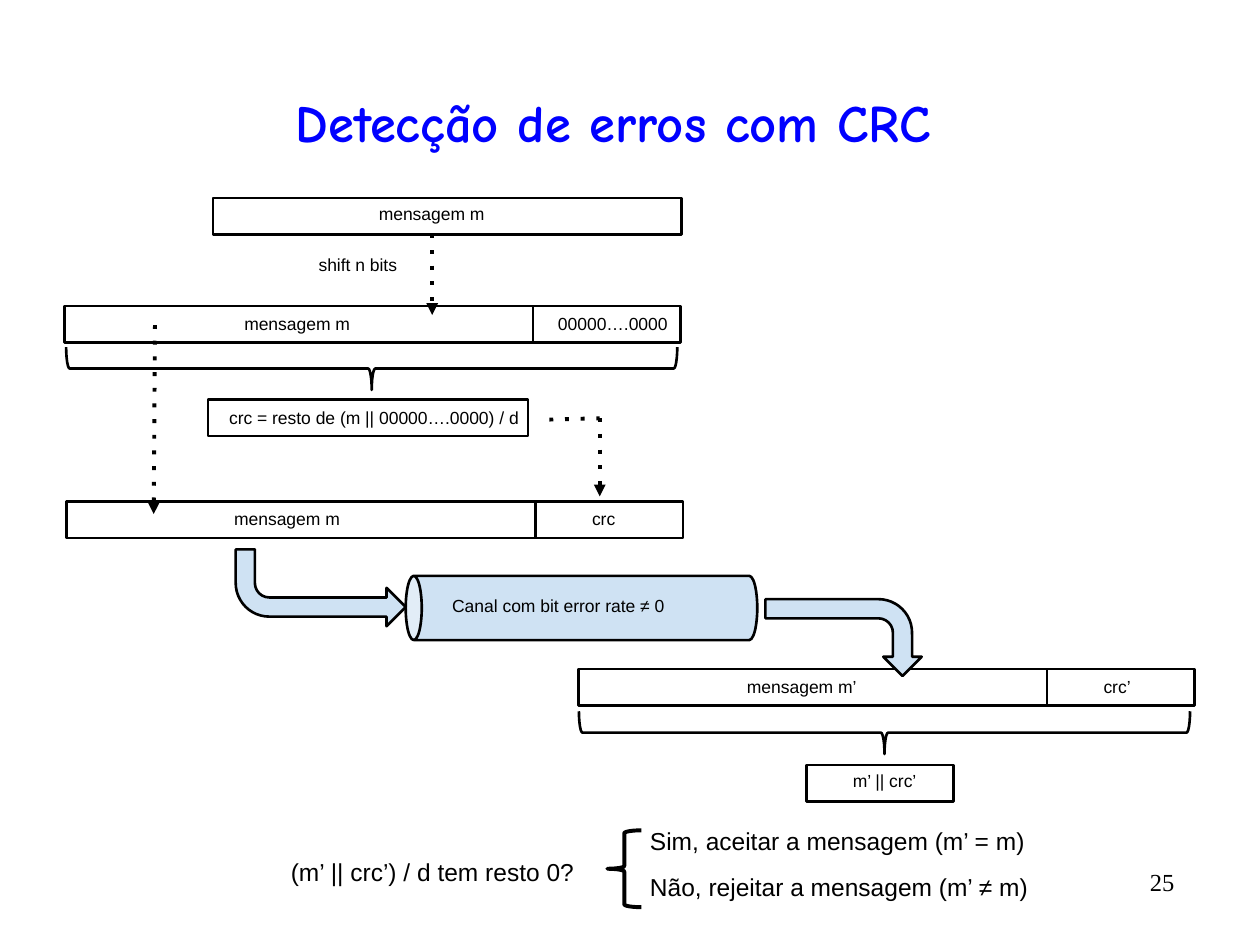
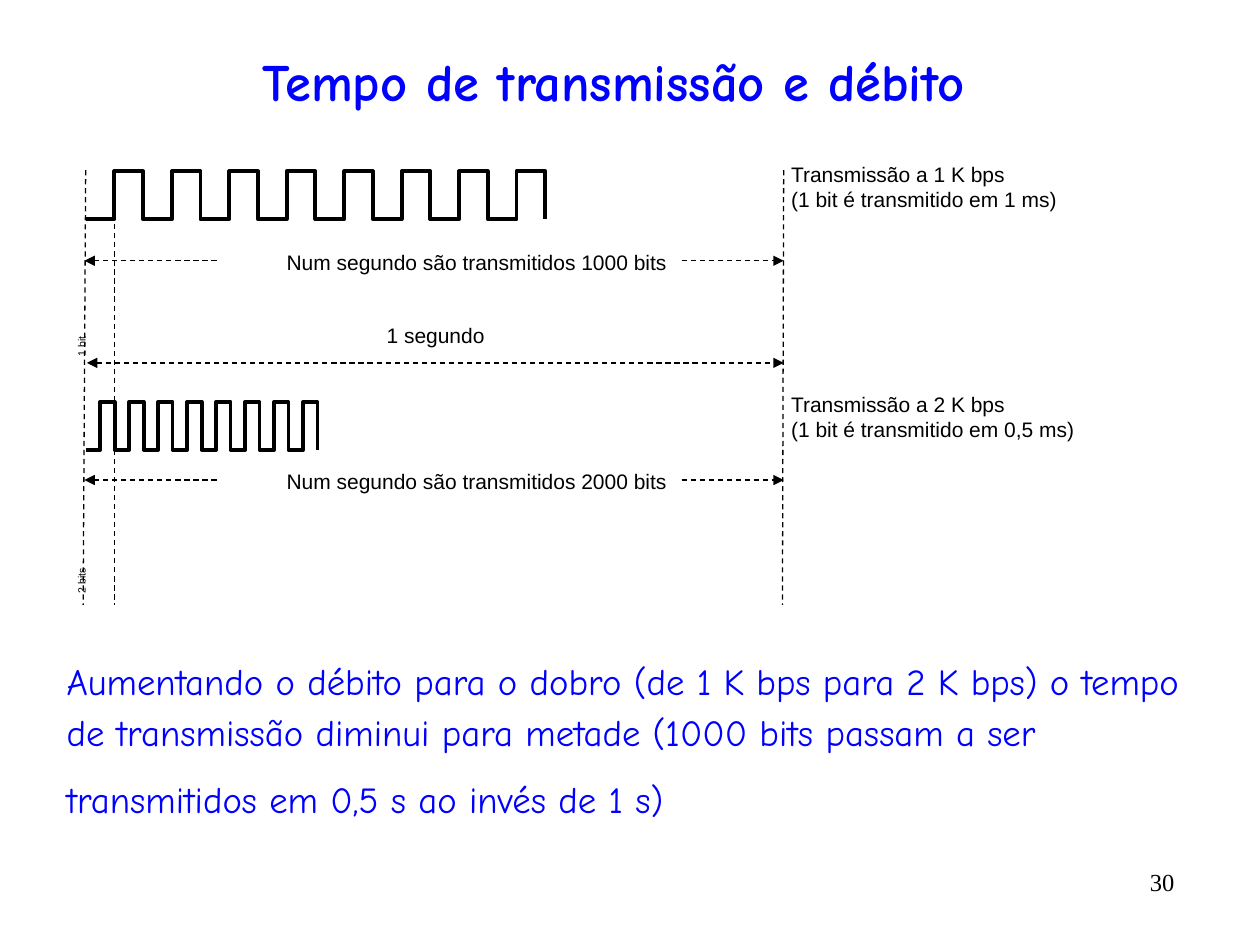
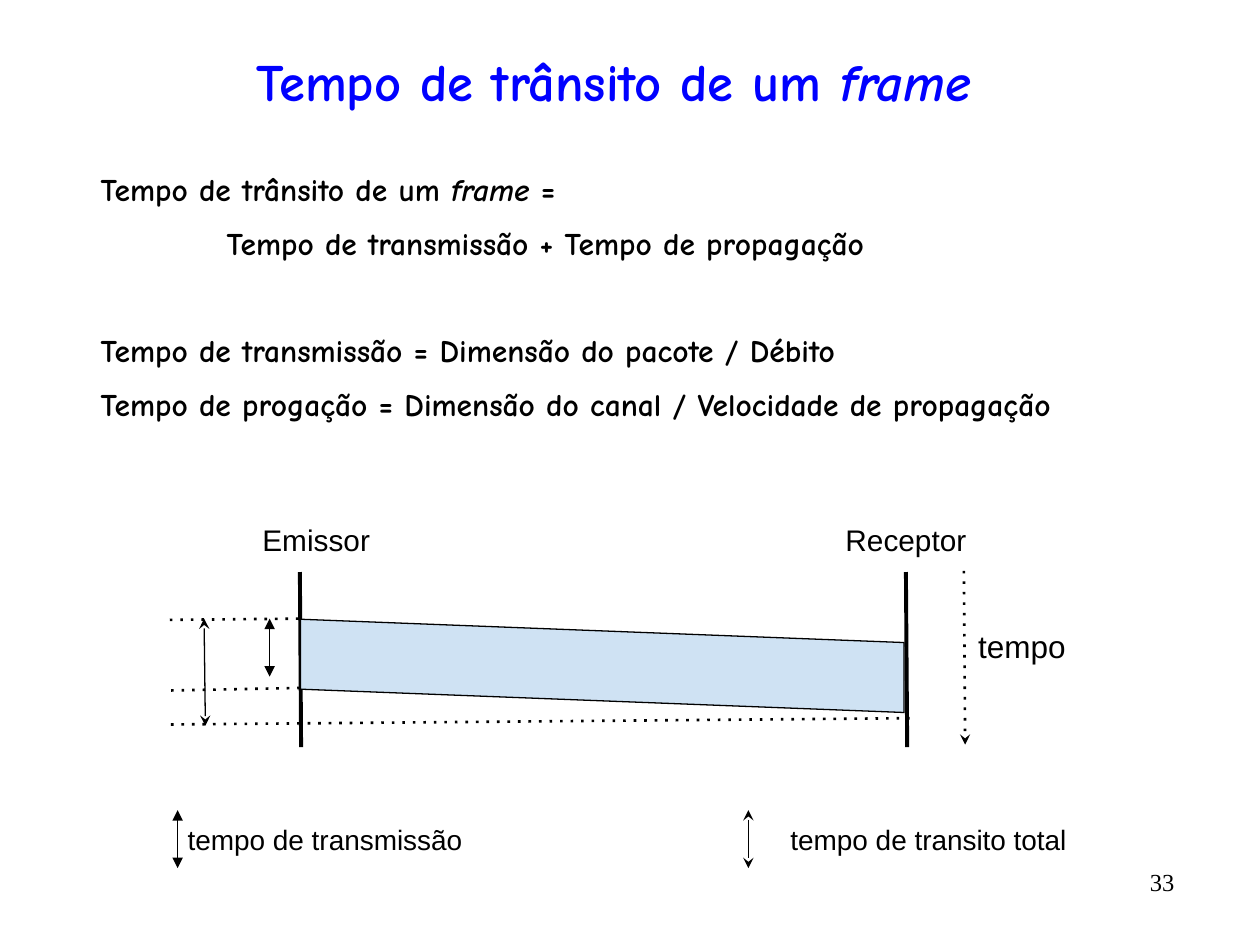
import dataclasses

import lxml.etree
import pptx
import pptx.dml.color
import pptx.enum.shapes
import pptx.enum.text
import pptx.oxml.ns
import pptx.util


@dataclasses.dataclass(frozen=True)
class Theme:
    ink: str = "000000"
    accent: str = "0000FF"
    pale: str = "CFE2F3"
    plain_font: str = "Arial"
    hand_font: str = "Comic Neue"
    number_font: str = "Times New Roman"
    title: int = 30
    conclusion: int = 21
    formula: int = 18
    station: int = 17
    legend: int = 16
    verdict: int = 14
    signal: int = 12
    field: int = 10
    tiny: int = 6
    hairline: float = 0.75
    medium: float = 1.5
    heavy: float = 2.25


THEME = Theme()
SHAPE = pptx.enum.shapes.MSO_SHAPE
ALIGN = pptx.enum.text.PP_ALIGN
ANCHOR = pptx.enum.text.MSO_ANCHOR
RGB = pptx.dml.color.RGBColor
qn = pptx.oxml.ns.qn

deck = pptx.Presentation()
deck.slide_width = pptx.util.Inches(10)
deck.slide_height = pptx.util.Inches(7.5)
# Every length below counts square cells: 100 columns by 75 rows.
CELL = deck.slide_width / 100


def write(slide, text, area, size=THEME.field, font=THEME.plain_font, color=THEME.ink,
          bold=False, align=ALIGN.LEFT, anchor=ANCHOR.TOP, pad=1, turn=0,
          line_spacing=None, before=(), indents=()):
    """Write one paragraph per line of text; words between asterisks are italic."""
    box = slide.shapes.add_textbox(*[round(v * CELL) for v in area])
    box.rotation = turn
    frame = box.text_frame
    frame.word_wrap = True
    frame.vertical_anchor = anchor
    frame.margin_left = frame.margin_right = round(CELL)
    frame.margin_top = frame.margin_bottom = round(pad * CELL)
    for i, line in enumerate(text.split("\n")):
        paragraph = frame.paragraphs[0] if i == 0 else frame.add_paragraph()
        paragraph.alignment = align
        if line_spacing:
            paragraph.line_spacing = line_spacing
        if i < len(before):
            paragraph.space_before = pptx.util.Pt(before[i])
        if i < len(indents):
            paragraph._p.get_or_add_pPr().set("marL", str(round(indents[i] * CELL)))
        for j, part in enumerate(line.split("*")):
            if part:
                run = paragraph.add_run()
                run.text = part
                run.font.size = pptx.util.Pt(size)
                run.font.name = font
                run.font.bold = bold
                run.font.italic = j % 2 == 1
                run.font.color.rgb = RGB.from_string(color)


def draw(slide, kind, area, width=THEME.medium, fill=None, dash=None, head=None, tail=None,
         turn=0, flip=False, adjust=()):
    """Draw a preset shape in a box, a "line" between two ends or a "path" through points."""
    if kind == "path":
        points = [(round(x * CELL), round(y * CELL)) for x, y in area]
        builder = slide.shapes.build_freeform(*points[0])
        builder.add_line_segments(points[1:], close=False)
        figure = builder.convert_to_shape()
    else:
        lengths = [round(v * CELL) for v in area]
        if kind == "line":
            figure = slide.shapes.add_connector(
                pptx.enum.shapes.MSO_CONNECTOR.STRAIGHT, *lengths)
        else:
            figure = slide.shapes.add_shape(kind, *lengths)
            figure.rotation = turn
            for i, value in enumerate(adjust):
                figure.adjustments[i] = value
    figure.line.color.rgb = RGB.from_string(THEME.ink)
    figure.line.width = pptx.util.Pt(width)
    properties = figure.element.spPr
    outline = properties.get_or_add_ln()
    for tag, attribute, value in (("prstDash", "val", dash), ("headEnd", "type", head),
                                  ("tailEnd", "type", tail)):
        if value:
            lxml.etree.SubElement(outline, qn("a:" + tag)).set(attribute, value)
    if flip:
        properties.find(qn("a:xfrm")).set("flipH", "1")
    if kind == "line":
        lxml.etree.SubElement(properties, qn("a:effectLst"))
        return
    figure.shadow.inherit = False
    if fill:
        figure.fill.solid()
        figure.fill.fore_color.rgb = RGB.from_string(fill)
    else:
        figure.fill.background()


# Title and page number on every slide
slides = []
for title, title_height, number in (
        ("Detecção de erros com CRC", 14.9, "25"),
        ("Tempo de transmissão e débito", 8.4, "30"),
        ("Tempo de trânsito de um *frame*", 8.4, "33")):
    slide = deck.slides.add_slide(deck.slide_layouts[6])
    write(slide, title, (3.2, 2.2, 91, title_height), size=THEME.title, font=THEME.hand_font,
          color=THEME.accent, bold=True, align=ALIGN.CENTER, anchor=ANCHOR.MIDDLE, pad=0.5)
    write(slide, number, (84.2, 68.3, 10, 4.2), size=THEME.verdict, font=THEME.number_font,
          align=ALIGN.RIGHT, pad=0.5)
    slides.append(slide)
crc, rate, transit = slides

# Slide 1: from the message to the check at the receiver
message_width, check_width, field_height = 37.2, 11.7, 2.9
for left, top, message, message_left, check, check_left in (
        (5.1, 24.3, "mensagem m", 18.4, "00000….0000", 43.3),
        (5.3, 39.8, "mensagem m", 17.6, "crc", 46),
        (45.9, 53.1, "mensagem m’", 58.3, "crc’", 86.6)):
    draw(crc, SHAPE.RECTANGLE, (left, top, message_width, field_height))
    draw(crc, SHAPE.RECTANGLE, (left + message_width, top, check_width, field_height))
    for label, label_left in ((message, message_left), (check, check_left)):
        write(crc, label, (label_left, top - 0.8, 12.5, 4.3), anchor=ANCHOR.MIDDLE)

draw(crc, SHAPE.RECTANGLE, (16.9, 15.7, message_width, field_height))
write(crc, "mensagem m", (28, 15.3, 12.5, 4.3), align=ALIGN.CENTER)
write(crc, "shift n bits", (23.2, 19.3, 10.4, 4.3), align=ALIGN.CENTER)
draw(crc, SHAPE.RECTANGLE, (16.5, 31.7, 25.4, field_height))
write(crc, "crc = resto de (m || 00000….0000) / d", (17.2, 31, 25.4, 4.3),
      anchor=ANCHOR.MIDDLE)
draw(crc, SHAPE.RECTANGLE, (64, 60.7, check_width, field_height))
write(crc, "m’ || crc’", (66.7, 60.3, 10.4, 4.3))

for brace_left, brace_top in ((27.8, 5), (68.5, 33.9)):
    draw(crc, SHAPE.LEFT_BRACE, (brace_left, brace_top, 3.4, 48.5), turn=270,
         adjust=(0.083, 0.5))
for step, tip in (((34.3, 18.6, 34.3, 25), "triangle"), ((12.3, 25.8, 12.2, 40.8), "triangle"),
                  ((43.6, 33.3, 47.6, 33.2), None), ((47.6, 33.2, 47.6, 39.4), "triangle")):
    draw(crc, "line", step, width=THEME.heavy, dash="dot", tail=tip)

bend = (0.25, 0.25, 0.25, 0.438)
draw(crc, SHAPE.CAN, (43.6, 34.3, 5.1, 27.9), fill=THEME.pale, turn=270, adjust=(0.25,))
draw(crc, SHAPE.BENT_ARROW, (18.7, 43.6, 13.5, 6.1), fill=THEME.pale, turn=180, flip=True,
     adjust=bend)
draw(crc, SHAPE.BENT_ARROW, (63.9, 44.4, 6.1, 12.4), fill=THEME.pale, turn=90, adjust=bend)
write(crc, "Canal com bit error rate ≠ 0", (34.9, 46.4, 21.5, 5.1))

for verdict, left, top in (("(m’ || crc’) / d tem resto 0?", 22.1, 67),
                           ("Sim, aceitar a mensagem (m’ = m)", 50.6, 64.6),
                           ("Não, rejeitar a mensagem (m’ ≠ m)", 50.6, 68.2)):
    write(crc, verdict, (left, top, 37.8, 4.3), size=THEME.verdict)
draw(crc, SHAPE.LEFT_BRACE, (48.2, 65.9, 2.7, 6.1), width=THEME.heavy, adjust=(0.083, 0.5))

# Slide 2: two signals over the same second
start, pulses, pulse_height = 6.8, 16, 3.8
for speed, duration, bits, bit_label, pulse, top, span_row, bit_top in (
        ("1 K", "1 ms", "1000", "1 bit", 2.28, 13.6, 20.7, 21),
        ("2 K", "0,5 ms", "2000", "2 bits", 1.15, 31.9, 38.1, 39.8)):
    wave = []
    for i in range(pulses):
        level = top if i % 2 else top + pulse_height
        wave += [(start + i * pulse, level), (start + (i + 1) * pulse, level)]
    wave.append((start + pulses * pulse, top + pulse_height))
    draw(rate, "path", wave, width=THEME.heavy)
    write(rate, f"Transmissão a {speed} bps\n(1 bit é transmitido em {duration})",
          (61.8, top - 1.8, 30.8, 10.3), size=THEME.signal)
    write(rate, f"Num segundo são transmitidos {bits} bits", (17.3, span_row - 3.5, 41.1, 7.2),
          size=THEME.signal, align=ALIGN.CENTER, anchor=ANCHOR.MIDDLE)
    draw(rate, "line", (6.7, span_row, 17.3, span_row), width=THEME.hairline, dash="dash",
         head="triangle")
    draw(rate, "line", (54.1, span_row, 62.2, span_row), width=THEME.hairline, dash="dash",
         tail="triangle")
    write(rate, bit_label, (2, bit_top, 11.7, 4.8), size=THEME.tiny, turn=270)

draw(rate, "line", (6.9, 28.8, 62.2, 28.8), width=THEME.hairline, dash="dash",
     head="triangle", tail="triangle")
write(rate, "1 segundo", (29.7, 24.6, 13, 4.2), size=THEME.signal)
for upper, lower in ((6.8, 6.6), (9.1, 9.1), (62.2, 62.1)):
    draw(rate, "line", (upper, 13.5, lower, 48), width=THEME.hairline, dash="dash")
write(rate, "Aumentando o débito para o dobro (de 1 K bps para 2 K bps) o tempo de transmissão "
      "diminui para metade (1000 bits passam a ser\ntransmitidos em 0,5 s ao invés de 1 s)",
      (4.3, 51.3, 92.8, 17.1), size=THEME.conclusion, font=THEME.hand_font,
      color=THEME.accent, pad=0.5, line_spacing=1.15, before=(0, 9))

# Slide 3: the frame on its way from sender to receiver
write(transit, "Tempo de trânsito de um *frame* =\nTempo de transmissão + Tempo de propagação\n"
      "Tempo de transmissão = Dimensão do pacote / Débito\n"
      "Tempo de progação = Dimensão do canal / Velocidade de propagação",
      (7, 13, 86.1, 23.8), size=THEME.formula, font=THEME.hand_font, bold=True, pad=0.5,
      before=(0, 9, 40, 9), indents=(0, 10))
for label, area, size in (("Emissor", (15.5, 39.3, 19.2, 7.1), THEME.station),
                          ("Receptor", (63.2, 39.3, 17.4, 7.1), THEME.station),
                          ("tempo", (74.2, 49.3, 13.8, 4), THEME.formula),
                          ("tempo de transmissão", (12.5, 63.1, 26.6, 7.1), THEME.legend),
                          ("tempo de transito total", (60.4, 63.1, 26.6, 7.1), THEME.legend)):
    write(transit, label, area, size=size, align=ALIGN.CENTER, anchor=ANCHOR.MIDDLE)

for station in (23.8, 71.9):
    draw(transit, "line", (station, 45.4, station + 0.1, 59.3), width=THEME.heavy)
draw(transit, "line", (76.5, 45.3, 76.6, 59.1), dash="dot", tail="stealth")
draw(transit, SHAPE.PARALLELOGRAM, (44.1, 28.9, 7.4, 47.9), width=THEME.hairline,
     fill=THEME.pale, turn=90, adjust=(0.25,))
for instant in ((23.7, 49.1, 13.4, 49.2), (23.8, 54.6, 13.5, 54.8), (72.2, 57, 13.3, 57.5)):
    draw(transit, "line", instant, dash="dot")
for interval, tip in (((21.4, 49.1, 21.4, 53.7), "triangle"),
                      ((16.2, 49.1, 16.3, 57.6), "stealth"),
                      ((14.1, 64.3, 14.1, 68.9), "triangle"),
                      ((59.4, 64.3, 59.4, 68.9), "stealth")):
    draw(transit, "line", interval, width=THEME.hairline, head=tip, tail=tip)

deck.save("out.pptx")
